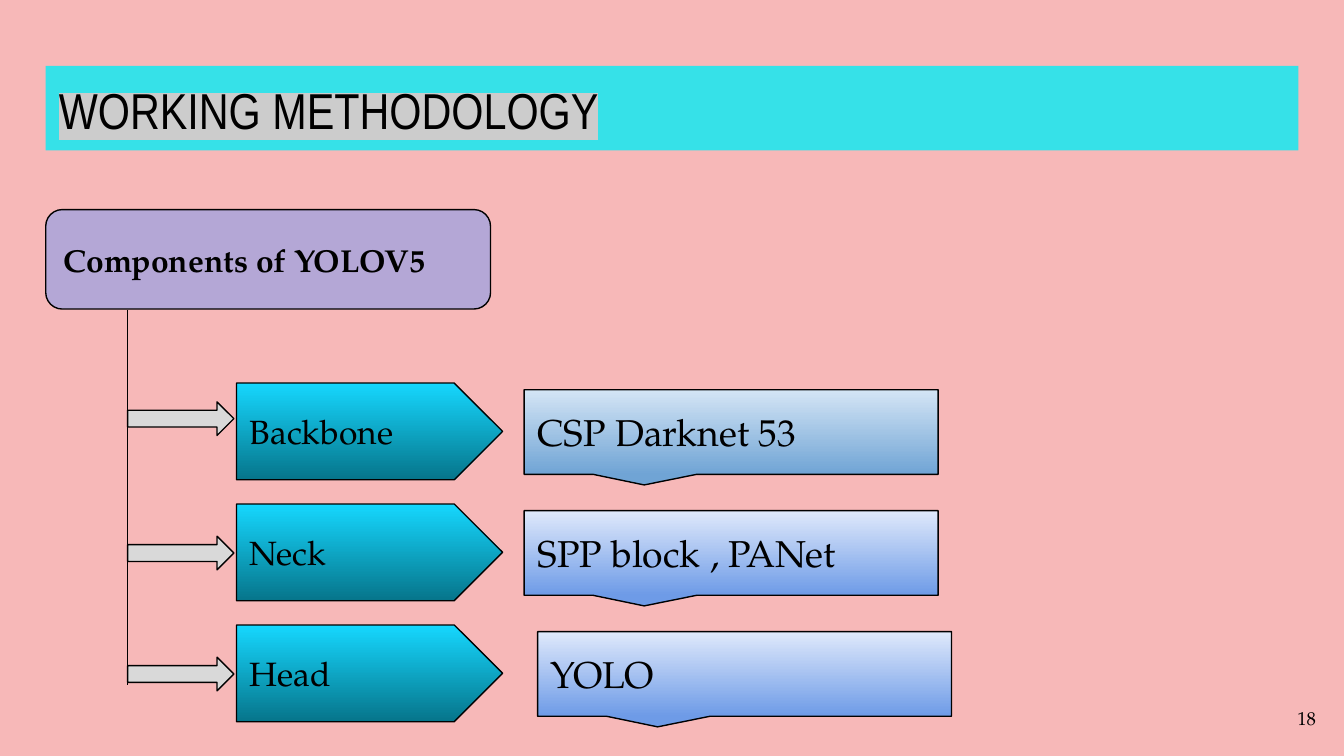
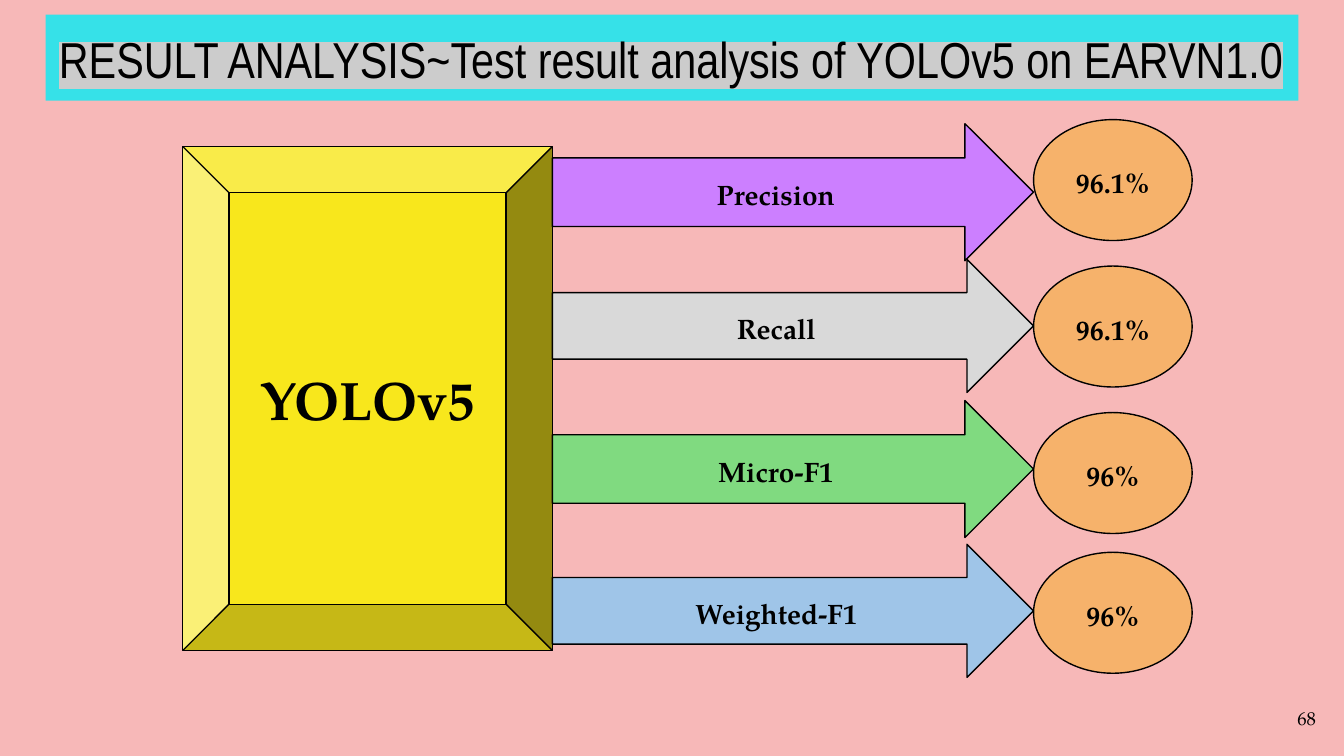
from lxml.etree import SubElement
from pptx import Presentation
from pptx.dml.color import RGBColor
from pptx.enum.shapes import MSO_CONNECTOR, MSO_SHAPE
from pptx.enum.text import MSO_ANCHOR, PP_ALIGN
from pptx.oxml.ns import qn
from pptx.util import Inches, Pt

COLORS = {
    "background": "F7B8B8", "band": "36E1E8", "highlight": "CCCCCC", "ink": "000000",
    "root": "B4A7D6", "gray": "D9D9D9", "bevel": "F8E71C", "score": "F6B26B",
    "precision": "CC7FFF", "micro": "80DA80", "weighted": "9FC5E8",
    "part top": "16D7FE", "part bottom": "06758B",
    "sky top": "D4E5F5", "sky bottom": "70A4D5",
    "blue top": "DFE9FB", "blue bottom": "6E9BE7",
}
BODY_FONT, TITLE_FONT = "TeX Gyre Pagella", "Arial Narrow"

deck = Presentation()
deck.slide_width, deck.slide_height = Inches(10), Inches(5.625)
COLUMN = deck.slide_width / 100   # 100 columns across
ROW = deck.slide_height / 56.25   # square grid cells


def color(name):
    return RGBColor.from_string(COLORS[name])


def add_box(page, kind, place, fill=None, text="", size=18, bold=False, font=BODY_FONT,
            align=PP_ALIGN.LEFT, anchor=MSO_ANCHOR.MIDDLE, spacing=None, outlined=True):
    """Place a shape (or a text box when kind is None) at grid left, top, width, height."""
    left, top, width, height = place
    frame = (round(left * COLUMN), round(top * ROW), round(width * COLUMN), round(height * ROW))
    if kind is None:
        box = page.shapes.add_textbox(*frame)
    else:
        box = page.shapes.add_shape(kind, *frame)
        box.shadow.inherit = False
        if isinstance(fill, tuple):
            box.fill.gradient()
            box.fill.gradient_angle = 270
            for stop, name in zip(box.fill.gradient_stops, fill):
                stop.color.rgb = color(name)
        else:
            box.fill.solid()
            box.fill.fore_color.rgb = color(fill)
        if outlined:
            box.line.color.rgb = color("ink")
            box.line.width = Pt(0.75)
        else:
            box.line.fill.background()
    if text:
        body = box.text_frame
        body.word_wrap = True
        body.vertical_anchor = anchor
        body.margin_left = body.margin_right = body.margin_top = body.margin_bottom = Inches(0.1)
        para = body.paragraphs[0]
        para.alignment = align
        if spacing:
            para.line_spacing = spacing
        span = para.add_run()
        span.text = text
        span.font.size, span.font.bold, span.font.name = Pt(size), bold, font
        span.font.color.rgb = color("ink")
    return box


# Shared parts: background, title band and page number
pages = []
for title, band_top, band_height, number in (
    ("WORKING METHODOLOGY", 4.9, 6.3, "18"),
    ("RESULT ANALYSIS~Test result analysis of YOLOv5 on EARVN1.0", 1.1, 6.4, "68"),
):
    page = deck.slides.add_slide(deck.slide_layouts[6])
    page.background.fill.solid()
    page.background.fill.fore_color.rgb = color("background")
    band = add_box(page, MSO_SHAPE.RECTANGLE, (3.4, band_top, 93.2, band_height), "band", title,
                   27, font=TITLE_FONT, anchor=MSO_ANCHOR.TOP, outlined=False)
    properties = band.text_frame.paragraphs[0].runs[0].font._element
    highlight = SubElement(properties, qn("a:highlight"))
    SubElement(highlight, qn("a:srgbClr"), val=COLORS["highlight"])
    properties.find(qn("a:solidFill")).addnext(highlight)
    add_box(page, None, (92.9, 51.3, 6, 4.3), text=number, size=10, align=PP_ALIGN.RIGHT)
    pages.append(page)
methodology, results = pages

# Working methodology: a tree of components
TRUNK = 9.5
add_box(methodology, MSO_SHAPE.FLOWCHART_ALTERNATE_PROCESS, (3.4, 15.6, 33.1, 7.4), "root",
        "Components of YOLOV5", 17, bold=True)
trunk = methodology.shapes.add_connector(
    MSO_CONNECTOR.STRAIGHT, round(TRUNK * COLUMN), round(23.1 * ROW),
    round(TRUNK * COLUMN), round(51 * ROW))
trunk.line.color.rgb = color("ink")
trunk.line.width = Pt(0.75)
SubElement(trunk._element.spPr, qn("a:effectLst"))

components = (
    ("Backbone", "CSP Darknet 53", "sky", 29.9, 39),
    ("Neck", "SPP block , PANet", "blue", 39.9, 39),
    ("Head", "YOLO", "blue", 48.9, 40),
)
for index, (part, detail, tone, arrow_top, detail_left) in enumerate(components):
    top = 28.5 + 9 * index
    add_box(methodology, MSO_SHAPE.PENTAGON, (17.6, top, 19.8, 7.2),
            ("part top", "part bottom"), part)
    add_box(methodology, MSO_SHAPE.RIGHT_ARROW, (TRUNK, arrow_top, 7.9, 2.5), "gray")
    callout = add_box(methodology, MSO_SHAPE.RECTANGULAR_CALLOUT,
                      (detail_left, top + 0.5, 30.8, 6.3),
                      (f"{tone} top", f"{tone} bottom"), detail, 20)
    callout.adjustments[0], callout.adjustments[1] = -0.21, 0.625

# Result analysis: one arrow and one score for each metric
ARROW_LEFT, SCORE_LEFT = 41.1, 76.9
model = add_box(results, MSO_SHAPE.BEVEL, (13.6, 10.9, 27.5, 37.5), "bevel", "YOLOv5", 29,
                bold=True, align=PP_ALIGN.CENTER)
model.adjustments[0] = 0.125
metrics = (
    ("Precision", "96.1%", "precision", 9.2, 10.2, 8.9),
    ("Recall", "96.1%", "gray", 19.3, 9.9, 19.8),
    ("Micro-F1", "96%", "micro", 29.8, 10.2, 30.7),
    ("Weighted-F1", "96%", "weighted", 40.5, 9.9, 41.1),
)
label_style = {"size": 15, "bold": True, "align": PP_ALIGN.CENTER, "spacing": 1.15}
for metric, score, tone, arrow_top, arrow_height, score_top in metrics:
    add_box(results, MSO_SHAPE.RIGHT_ARROW,
            (ARROW_LEFT, arrow_top, SCORE_LEFT - ARROW_LEFT, arrow_height),
            tone, metric, **label_style)
    add_box(results, MSO_SHAPE.OVAL, (SCORE_LEFT, score_top, 11.8, 9), "score", score,
            **label_style)

deck.save("out.pptx")
